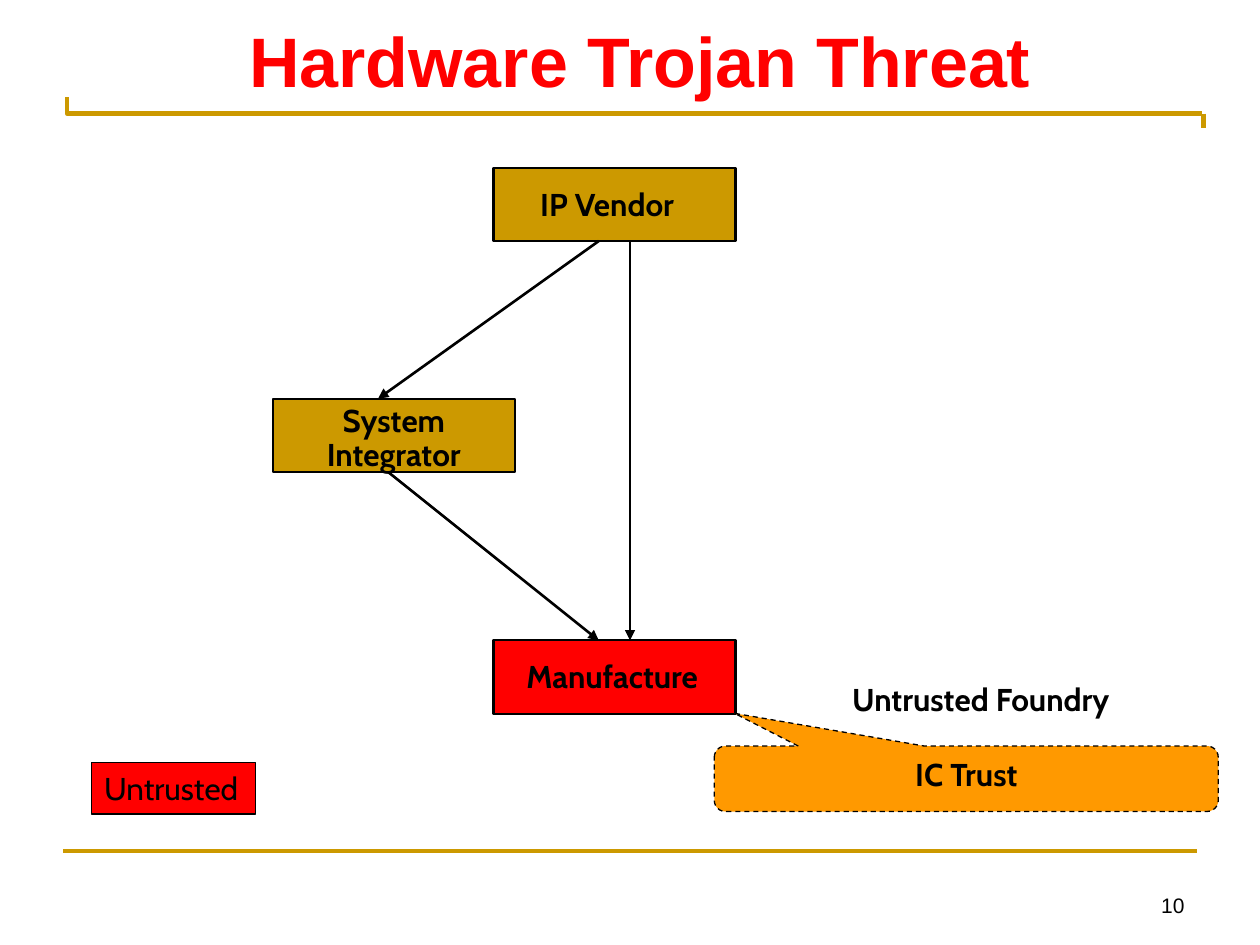
from dataclasses import dataclass

from lxml import etree
from pptx import Presentation
from pptx.dml.color import RGBColor
from pptx.enum.dml import MSO_LINE
from pptx.enum.shapes import MSO_CONNECTOR, MSO_SHAPE
from pptx.enum.text import MSO_ANCHOR, PP_ALIGN
from pptx.oxml.ns import qn
from pptx.util import Cm, Pt

STRAIGHT = MSO_CONNECTOR.STRAIGHT
RECTANGLE = MSO_SHAPE.RECTANGLE
CALLOUT = MSO_SHAPE.ROUNDED_RECTANGULAR_CALLOUT
DASH = MSO_LINE.DASH
TOP, BOTTOM = MSO_ANCHOR.TOP, MSO_ANCHOR.BOTTOM
LEFT, CENTER, RIGHT = PP_ALIGN.LEFT, PP_ALIGN.CENTER, PP_ALIGN.RIGHT


@dataclass(frozen=True)
class Theme:
    gold: RGBColor = RGBColor(0xCC, 0x99, 0x00)
    red: RGBColor = RGBColor(0xFF, 0x00, 0x00)
    orange: RGBColor = RGBColor(0xFF, 0x99, 0x00)
    black: RGBColor = RGBColor(0x00, 0x00, 0x00)
    heading_font: str = "Arial"
    body_font: str = "Cabin"
    title_size: Pt = Pt(40)
    body_size: Pt = Pt(18)
    number_size: Pt = Pt(12)


theme = Theme()


def add_line(start, end, color, width, arrow=False):
    connector = slide.shapes.add_connector(
        STRAIGHT, *(Cm(value) for value in start + end))
    connector.line.color.rgb = color
    connector.line.width = Pt(width)
    if arrow:
        line = connector.line._get_or_add_ln()
        etree.SubElement(line, qn("a:tailEnd"), type="triangle")
    etree.SubElement(connector._element.spPr, qn("a:effectLst"))


def write(shape, text, alignment=LEFT, bold=True, wrap=True, anchor=TOP,
          name=theme.body_font, size=theme.body_size, color=theme.black):
    frame = shape.text_frame
    frame.text = text
    frame.word_wrap = wrap
    frame.vertical_anchor = anchor
    paragraph = frame.paragraphs[0]
    paragraph.alignment = alignment
    paragraph.font.name = name
    paragraph.font.size = size
    paragraph.font.bold = bold
    paragraph.font.color.rgb = color
    return paragraph


presentation = Presentation()
presentation.slide_width = Cm(25.4)
presentation.slide_height = Cm(19.05)
slide = presentation.slides.add_slide(presentation.slide_layouts[5])

builder = slide.shapes.build_freeform(Cm(1.35), Cm(1.96))
builder.add_line_segments(
    [(Cm(1.35), Cm(2.29)), (Cm(24.23), Cm(2.29))], close=False)
title_rule = builder.convert_to_shape()
title_rule.fill.background()
title_rule.line.color.rgb = theme.gold
title_rule.line.width = Pt(2.5)
title_rule.shadow.inherit = False
add_line((1.27, 17.15), (24.13, 17.15), theme.gold, 2.5)
add_line((24.26, 2.29), (24.26, 2.59), theme.gold, 2.5)

title = slide.shapes.title
title.left, title.top, title.width, title.height = (
    Cm(1.47), Cm(0.2), Cm(22.86), Cm(1.9))
write(title, "Hardware Trojan Threat", CENTER, anchor=BOTTOM,
      name=theme.heading_font, size=theme.title_size, color=theme.red)
title.text_frame.margin_bottom = Cm(0.05)

box_width, box_height = 4.88, 1.48
vendor_top, integrator_top, manufacture_top = 3.38, 8.04, 12.91
boxes = [
    (RECTANGLE, 9.95, vendor_top, box_width, box_height, theme.gold, 1.25),
    (RECTANGLE, 9.95, manufacture_top, box_width, box_height, theme.red, 1.25),
    (RECTANGLE, 5.5, integrator_top, box_width, box_height, theme.gold, 1.25),
    (RECTANGLE, 1.85, 15.37, 3.3, 1.04, theme.red, 0.75),
    (CALLOUT, 14.4, 15.04, 10.16, 1.32, theme.orange, 0.75),
]
shapes = []
for kind, left, top, width, height, fill, line_width in boxes:
    shape = slide.shapes.add_shape(
        kind, Cm(left), Cm(top), Cm(width), Cm(height))
    shape.fill.solid()
    shape.fill.fore_color.rgb = fill
    shape.line.color.rgb = theme.black
    shape.line.width = Pt(line_width)
    shape.shadow.inherit = False
    shapes.append(shape)

legend, callout = shapes[-2:]
write(legend, "Untrusted", bold=False, wrap=False)
for index, value in enumerate((-0.46, -1, 0.17)):
    callout.adjustments[index] = value
callout.line.dash_style = DASH
write(callout, "IC Trust", CENTER)

vendor_bottom = vendor_top + box_height
integrator_bottom = integrator_top + box_height
for start, end in [
    ((12.7, vendor_bottom), (12.7, manufacture_top)),
    ((12.07, vendor_bottom), (7.62, integrator_top)),
    ((7.83, integrator_bottom), (12.07, manufacture_top)),
]:
    add_line(start, end, theme.black, 1.5, arrow=True)

for text, left, top, width in [
    ("IP Vendor", 10.64, 3.6, 3.48),
    ("Manufacture", 10.36, 13.12, 4.29),
    ("Untrusted Foundry", 16.93, 13.59, 6.22),
]:
    label = slide.shapes.add_textbox(Cm(left), Cm(top), Cm(width), Cm(1.02))
    write(label, text, wrap=False)

integrator_label = slide.shapes.add_textbox(
    Cm(5.5), Cm(integrator_top), Cm(box_width), Cm(1.63))
write(integrator_label, "System Integrator", CENTER).line_spacing = 0.9

page_number = slide.shapes.add_textbox(Cm(18.2), Cm(17.35), Cm(5.93), Cm(1.27))
write(page_number, "10", RIGHT, bold=False, anchor=BOTTOM,
      name=theme.heading_font, size=theme.number_size)

presentation.save("out.pptx")
